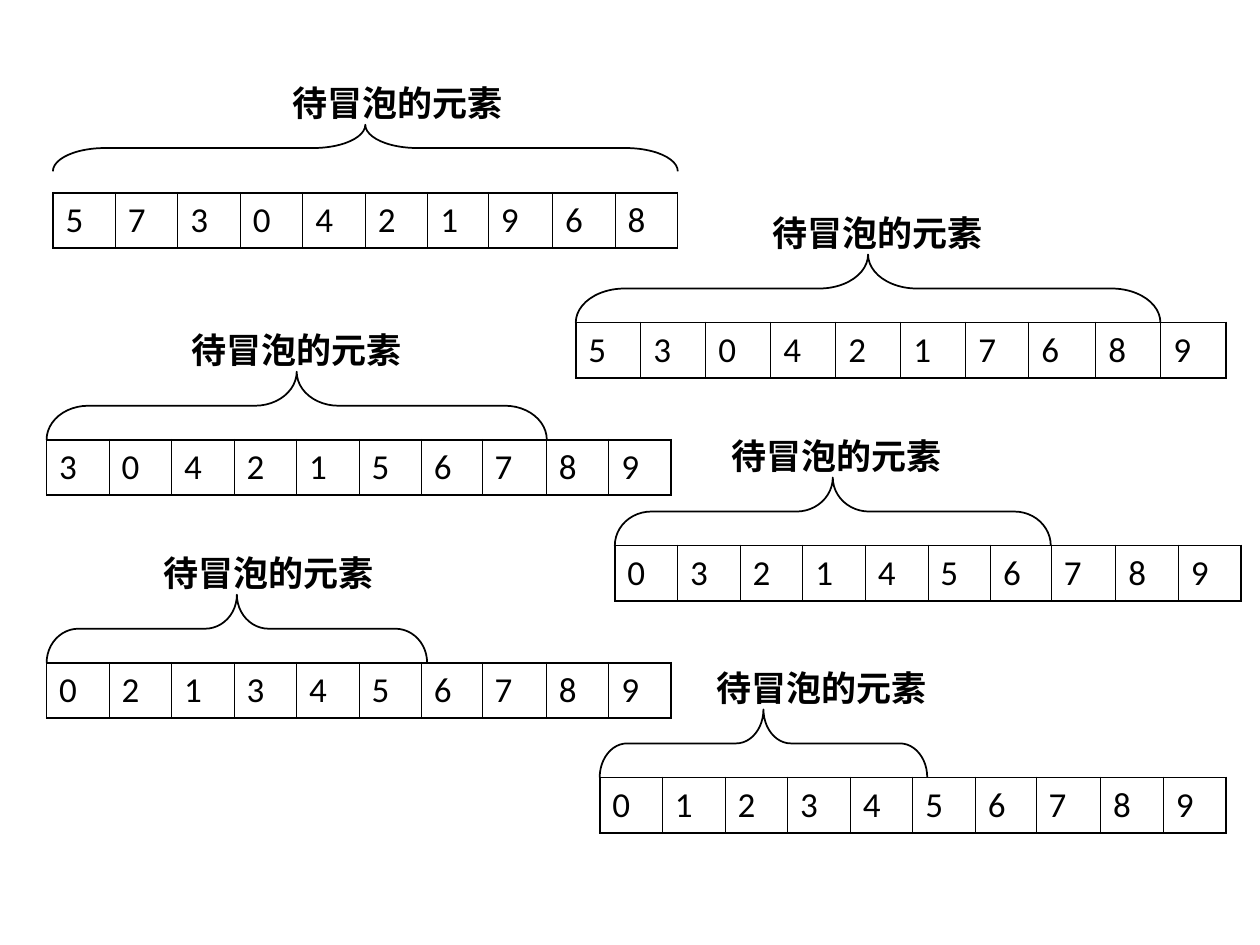
from dataclasses import dataclass

from lxml import etree
from pptx import Presentation
from pptx.dml.color import RGBColor
from pptx.enum.shapes import MSO_SHAPE
from pptx.enum.text import MSO_AUTO_SIZE, PP_ALIGN
from pptx.oxml.ns import qn
from pptx.slide import Slide
from pptx.table import _Cell
from pptx.util import Inches, Pt

RIGHT_BRACE = MSO_SHAPE.RIGHT_BRACE
FIT_TEXT = MSO_AUTO_SIZE.SHAPE_TO_FIT_TEXT
CENTER = PP_ALIGN.CENTER

CAPTION = "待冒泡的元素"
COLUMN_SHARES = [0.1] * 6 + [0.097, 0.103] + [0.1] * 2
ROW_HEIGHT = 0.44
BRACE_RISE = 0.54
CAPTION_RISE = 0.93
CURVE_SHARE = 1 / 12


@dataclass(frozen=True)
class Theme:
    """Colours, fonts, type sizes and line widths."""
    ink: str = "000000"
    digit_font: str = "Calibri"
    caption_font: str = "Arial"
    size: float = 20
    digit_space: float = 5
    caption_space: float = 12.5
    frame: float = 1.08
    divider: float = 0.45
    brace: float = 0.99


@dataclass(frozen=True)
class Pass:
    """One pass of the bubble sort; lengths in inches."""
    digits: str
    left: float
    top: float
    width: float
    brace_length: float
    caption_left: float
    caption_width: float
    brace_depth: float = BRACE_RISE


THEME = Theme()
INK = RGBColor.from_string(THEME.ink)
PASSES = [
    Pass("5730421968", 0.42, 1.53, 4.96, 4.96, 1.43, 3.45, 0.37),
    Pass("5304217689", 4.57, 2.56, 5.16, 4.64, 5.24, 3.45),
    Pass("3042156789", 0.37, 3.49, 4.96, 3.97, 0.63, 3.45),
    Pass("0321456789", 4.88, 4.33, 4.97, 3.46, 5.28, 2.72),
    Pass("0213456789", 0.37, 5.26, 4.96, 3.02, 0.77, 2.72),
    Pass("0123456789", 4.76, 6.17, 4.97, 2.6, 5.16, 2.72),
]


def format_paragraph(paragraph, font_name: str, space: float) -> None:
    """Give a paragraph its font, size, colour and space before."""
    paragraph.space_before = Pt(space)
    paragraph.font.name = font_name
    paragraph.font.size = Pt(THEME.size)
    paragraph.font.color.rgb = INK


def border_cell(cell: _Cell, first: bool, last: bool) -> None:
    """Draw heavy outer edges and fine dividers around a cell."""
    properties = cell._tc.get_or_add_tcPr()
    widths = {
        "a:lnL": THEME.frame if first else THEME.divider,
        "a:lnR": THEME.frame if last else THEME.divider,
        "a:lnT": THEME.frame,
        "a:lnB": THEME.frame,
    }
    for position, (edge, width) in enumerate(widths.items()):
        line = etree.Element(qn(edge), w=str(Pt(width)))
        fill = etree.SubElement(line, qn("a:solidFill"))
        etree.SubElement(fill, qn("a:srgbClr"), val=THEME.ink)
        properties.insert(position, line)


def draw_array(slide: Slide, step: Pass) -> None:
    """Draw the ten digits as a one-row table."""
    table = slide.shapes.add_table(
        1, len(step.digits), Inches(step.left), Inches(step.top),
        Inches(step.width), Inches(ROW_HEIGHT)).table
    table.first_row = table.horz_banding = False
    last = len(step.digits) - 1
    for index, (digit, share) in enumerate(zip(step.digits, COLUMN_SHARES)):
        table.columns[index].width = Inches(step.width * share)
        cell = table.cell(0, index)
        cell.text = digit
        cell.fill.background()
        format_paragraph(cell.text_frame.paragraphs[0],
                         THEME.digit_font, THEME.digit_space)
        border_cell(cell, index == 0, index == last)


def draw_brace(slide: Slide, step: Pass) -> None:
    """Draw an upward brace over the elements still to be sorted."""
    length, depth = step.brace_length, step.brace_depth
    center_x = step.left + length / 2
    center_y = step.top - BRACE_RISE + depth / 2
    brace = slide.shapes.add_shape(
        RIGHT_BRACE, Inches(center_x - depth / 2),
        Inches(center_y - length / 2), Inches(depth), Inches(length))
    brace.rotation = 270
    brace.adjustments[0] = length * CURVE_SHARE / depth
    brace.shadow.inherit = False
    brace.fill.background()
    brace.line.color.rgb = INK
    brace.line.width = Pt(THEME.brace)


def draw_caption(slide: Slide, step: Pass) -> None:
    """Write the caption above the brace."""
    frame = slide.shapes.add_textbox(
        Inches(step.caption_left), Inches(step.top - CAPTION_RISE),
        Inches(step.caption_width), Inches(ROW_HEIGHT)).text_frame
    frame.word_wrap = True
    frame.auto_size = FIT_TEXT
    paragraph = frame.paragraphs[0]
    paragraph.text = CAPTION
    paragraph.alignment = CENTER
    format_paragraph(paragraph, THEME.caption_font, THEME.caption_space)
    paragraph.font.bold = True


def main() -> None:
    """Build the slide and save it."""
    deck = Presentation()
    deck.slide_width, deck.slide_height = Inches(10), Inches(7.5)
    slide = deck.slides.add_slide(deck.slide_layouts[6])
    for step in PASSES:
        draw_array(slide, step)
        draw_brace(slide, step)
        draw_caption(slide, step)
    deck.save("out.pptx")


main()
